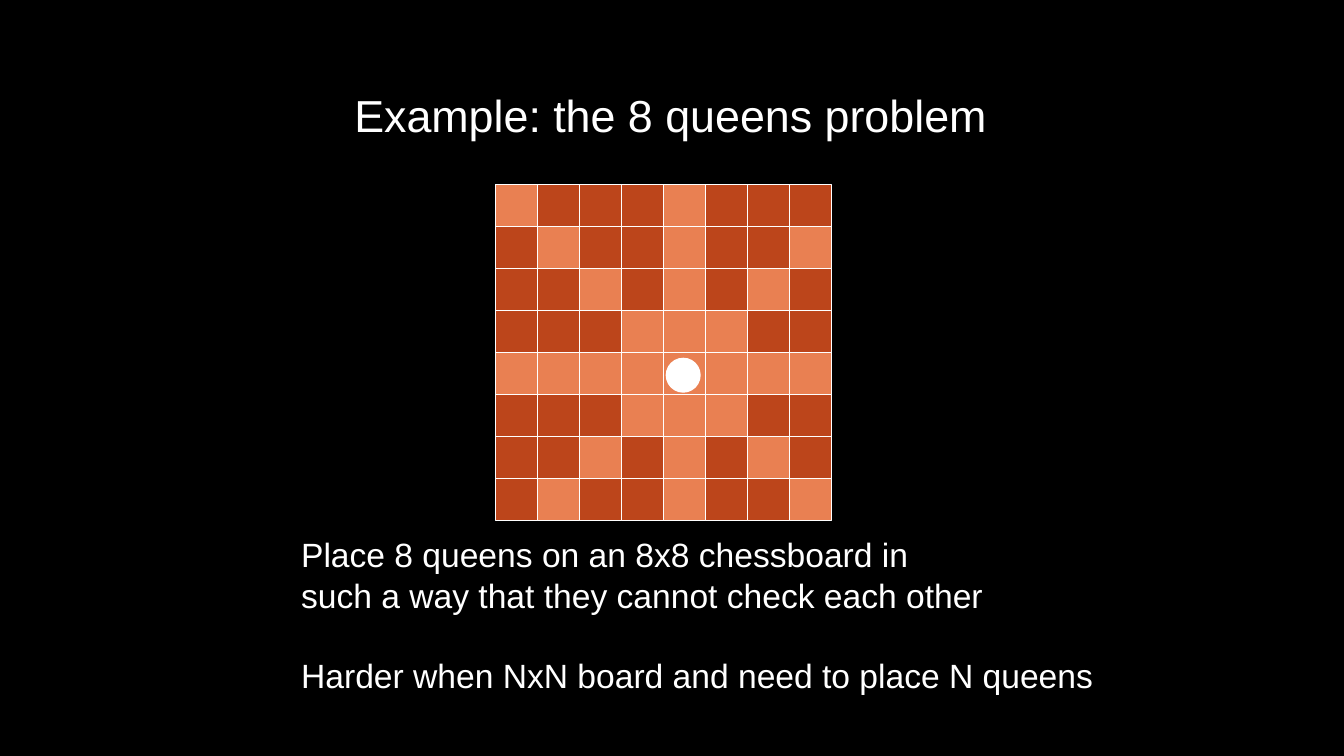
from pptx import Presentation
from pptx.dml.color import RGBColor
from pptx.enum.shapes import MSO_SHAPE
from pptx.enum.text import MSO_ANCHOR, PP_ALIGN
from pptx.util import Pt

RECTANGLE, OVAL = MSO_SHAPE.RECTANGLE, MSO_SHAPE.OVAL
MIDDLE, TOP = MSO_ANCHOR.MIDDLE, MSO_ANCHOR.TOP
LEFT = PP_ALIGN.LEFT

BLACK, WHITE = "000000", "FFFFFF"
ATTACKED, FREE = "E98052", "BC451B"

BOARD_SIZE, SQUARE = 8, 30
BOARD_LEFT, BOARD_TOP = 354, 132
QUEEN_ROW, QUEEN_COLUMN = 4, 4
BODY_LINE = 28.8


def color(hex_string):
    return RGBColor.from_string(hex_string)


class SlideBuilder:
    font = "Arial"
    text_color = WHITE
    outline = WHITE

    def __init__(self, slide):
        self.slide = slide
        background = slide.background.fill
        background.solid()
        background.fore_color.rgb = color(BLACK)

    def group(self):
        return self.slide.shapes.add_group_shape()

    def shape(self, group, kind, left, top, side, fill):
        """Add a filled, outlined shape of equal width and height to a group."""
        shape = group.shapes.add_shape(kind, Pt(left), Pt(top), Pt(side), Pt(side))
        shape.shadow.inherit = False
        shape.fill.solid()
        shape.fill.fore_color.rgb = color(fill)
        shape.line.color.rgb = color(self.outline)
        shape.line.width = Pt(1)

    def text(self, left, top, width, height, lines, size, anchor=TOP):
        """Add a text box with one paragraph per line and return its paragraphs."""
        box = self.slide.shapes.add_textbox(Pt(left), Pt(top), Pt(width), Pt(height))
        frame = box.text_frame
        frame.word_wrap = True
        frame.vertical_anchor = anchor
        frame.text = "\n".join(lines)
        for paragraph in frame.paragraphs:
            paragraph.alignment = LEFT
            for run in paragraph.runs:
                run.font.name = self.font
                run.font.size = Pt(size)
                run.font.color.rgb = color(self.text_color)
        return frame.paragraphs


def is_attacked(row, column):
    rows_away = abs(row - QUEEN_ROW)
    columns_away = abs(column - QUEEN_COLUMN)
    return rows_away == 0 or columns_away == 0 or rows_away == columns_away


def draw_board(builder):
    board = builder.group()
    for row in range(BOARD_SIZE):
        for column in range(BOARD_SIZE):
            fill = ATTACKED if is_attacked(row, column) else FREE
            builder.shape(board, RECTANGLE, BOARD_LEFT + column * SQUARE,
                          BOARD_TOP + row * SQUARE, SQUARE, fill)
    builder.shape(board, OVAL, BOARD_LEFT + QUEEN_COLUMN * SQUARE + 2,
                  BOARD_TOP + QUEEN_ROW * SQUARE + 4, 24, WHITE)


def main():
    presentation = Presentation()
    presentation.slide_width, presentation.slide_height = Pt(960), Pt(540)
    builder = SlideBuilder(presentation.slides.add_slide(presentation.slide_layouts[6]))

    draw_board(builder)

    task = builder.text(208, 378, 591, 124, [
        "Place 8 queens on an 8x8 chessboard in",
        "such a way that they cannot check each other",
        "Harder when NxN board and need to place N queens",
    ], 24)
    for paragraph in task:
        paragraph.line_spacing = Pt(BODY_LINE)
    task[-1].space_before = Pt(BODY_LINE)

    title = builder.text(246, 30, 540, 84, ["Example: the 8 queens problem"], 32, MIDDLE)[0]
    title.line_spacing = 1.5
    title.space_before = title.space_after = Pt(16)

    presentation.save("out.pptx")


if __name__ == "__main__":
    main()
